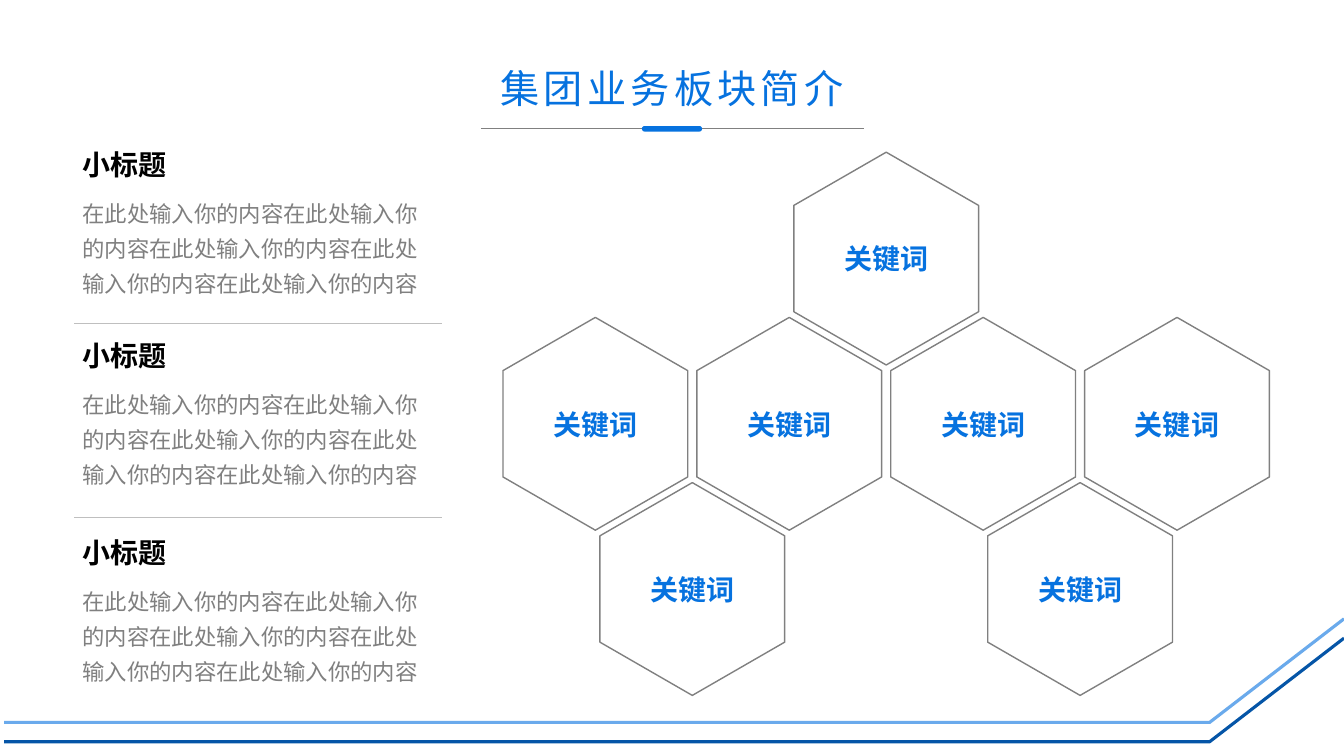
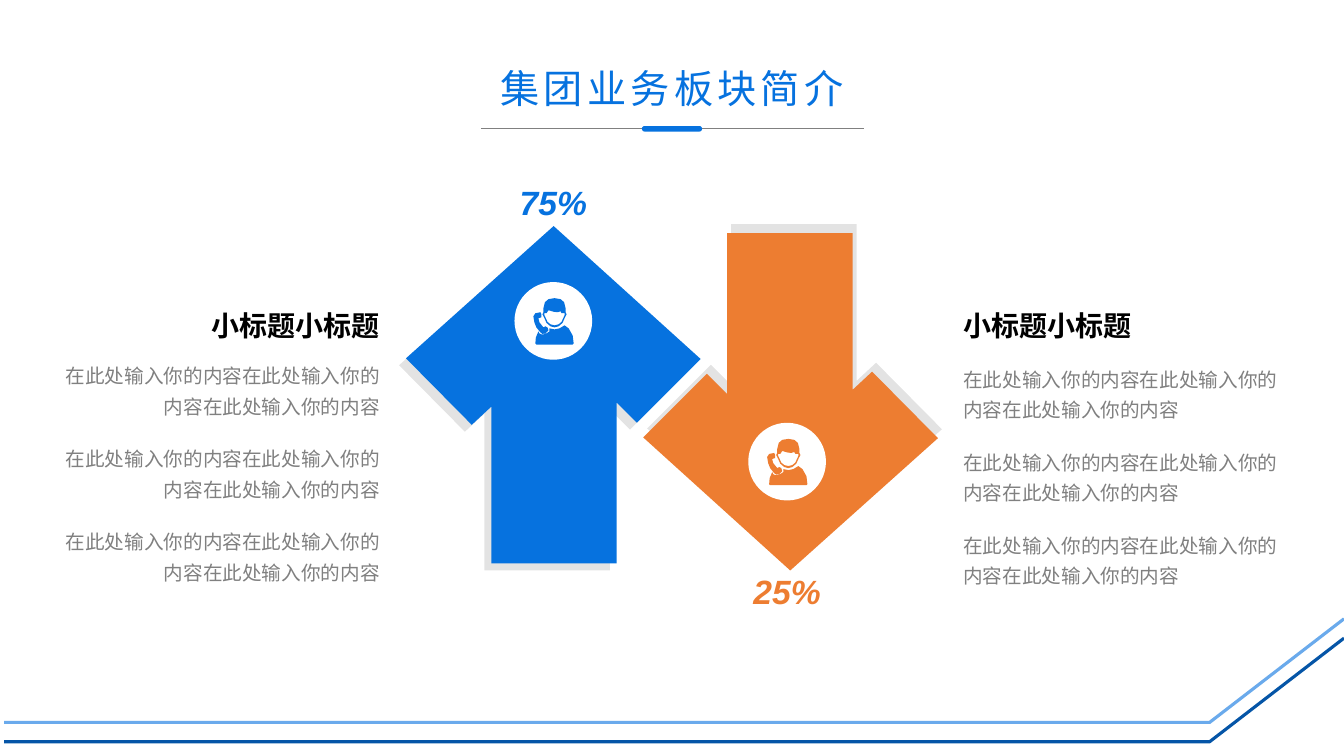
"""Build two slides that introduce the business areas of a group."""
from lxml import etree
from pptx import Presentation
from pptx.dml.color import RGBColor
from pptx.enum.shapes import MSO_CONNECTOR, MSO_SHAPE
from pptx.enum.text import MSO_ANCHOR, PP_ALIGN
from pptx.oxml.ns import qn
from pptx.util import Pt

BLUE = RGBColor(0x06, 0x72, 0xDF)
NAVY = RGBColor(0x05, 0x55, 0xA7)
SKY = RGBColor(0x6A, 0xAA, 0xEC)
ORANGE = RGBColor(0xED, 0x7D, 0x31)
GRAY = RGBColor(0x80, 0x80, 0x80)
PALE = RGBColor(0xBF, 0xBF, 0xBF)
BLACK = RGBColor(0, 0, 0)
WHITE = RGBColor(0xFF, 0xFF, 0xFF)

LINE = MSO_CONNECTOR.STRAIGHT
HEX = MSO_SHAPE.HEXAGON
OVAL = MSO_SHAPE.OVAL
ROUND = MSO_SHAPE.ROUNDED_RECTANGLE
LEFT, MID, RIGHT = PP_ALIGN.LEFT, PP_ALIGN.CENTER, PP_ALIGN.RIGHT
TOP, CENTER, BOTTOM = MSO_ANCHOR.TOP, MSO_ANCHOR.MIDDLE, MSO_ANCHOR.BOTTOM

SANS, LATIN = "Noto Sans CJK JP", "Arial"
TITLE = "集团业务板块简介"
HEAD = "小标题"
KEY = "关键词"
BODY = "在此处输入你的内容"

ARROW_W, ARROW_H = 210.5, 241
ARROW = [(105.5, 0), (210.5, 95), (165, 140.5), (150.5, 126), (150.5, 241),
         (61, 241), (61, 129), (47, 142), (0, 94.5)]

HAIR = [(10, 18), (11, 20), (13, 24.5), (17, 28), (21, 29), (25, 28),
        (29, 24.5), (31, 20), (32, 18), (33, 16), (32, 14), (32, 10),
        (30.5, 4), (27, 1), (21, 0), (15, 1), (11.5, 4), (10, 10),
        (10, 14), (9, 16)]
FACE = [(31, 17), (30, 19), (28, 23.5), (25, 26), (21, 27), (17, 26),
        (14, 23.5), (12, 19), (11, 17), (11, 15), (13, 15), (15, 12),
        (20, 13.5), (24, 14), (27, 13), (28, 15), (31, 15)]
TORSO = [(40, 45), (39, 46), (3, 46), (2, 45), (2.5, 39), (5, 33), (6, 35),
         (8, 36), (10, 36), (13, 35), (16, 33), (16, 30), (21, 31),
         (26, 30), (31, 27), (35, 30), (39, 37)]
PHONE = [(7, 34), (3, 29), (1, 24), (0, 18), (2, 15), (7, 14), (8, 16),
         (8, 19), (5, 20), (6, 24), (10, 29), (12, 28), (14, 29), (15, 32),
         (12, 35), (9, 35.5)]


def style(frame, size, color, name=SANS, bold=False, align=LEFT, space=None):
    """Format the single paragraph of a text frame."""
    para = frame.paragraphs[0]
    para.alignment = align
    if space:
        para.line_spacing = space
    run = para.runs[0]
    font = run.font
    font.size, font.bold, font.name = Pt(size), bold, name
    font.color.rgb = color
    east = etree.SubElement(font._element, qn("a:ea"))
    east.set("typeface", SANS)
    return run


def write(slide, box, text, size, color, anchor=TOP, **look):
    """Add a wrapping text box and return its run."""
    frame = slide.shapes.add_textbox(*map(Pt, box)).text_frame
    frame.word_wrap = True
    frame.vertical_anchor = anchor
    frame.text = text
    return style(frame, size, color, **look)


def rule(slide, left, right, top, color, width):
    """Draw a level line."""
    line = slide.shapes.add_connector(LINE, Pt(left), Pt(top), Pt(right), Pt(top))
    line.line.color.rgb = color
    line.line.width = Pt(width)
    etree.SubElement(line._element.spPr, qn("a:effectLst"))


def shape(slide, kind, box, fill):
    """Add a flat preset shape with no outline."""
    item = slide.shapes.add_shape(kind, *map(Pt, box))
    item.shadow.inherit = False
    item.fill.solid()
    item.fill.fore_color.rgb = fill
    item.line.fill.background()
    return item


def trace(slide, loops, left, top, unit=1, closed=True):
    """Draw loops of points from a corner as one freeform."""
    sets = [[(Pt(left + x * unit), Pt(top + y * unit)) for x, y in loop]
            for loop in loops]
    pen = slide.shapes.build_freeform(*sets[0][0], scale=1.0)
    for num, spots in enumerate(sets):
        if num:
            pen.move_to(*spots[0])
        pen.add_line_segments(spots[1:], close=closed)
    item = pen.convert_to_shape()
    item.shadow.inherit = False
    return item


def solid(item, color):
    """Fill a freeform and drop its outline."""
    item.fill.solid()
    item.fill.fore_color.rgb = color
    item.line.fill.background()


def frame_page(deck):
    """Add a blank slide with the bands, title and title rule."""
    slide = deck.slides.add_slide(deck.slide_layouts[6])
    for top, color in ((455.8, NAVY), (442, SKY)):
        points = [(0, 74), (861, 74), (957, 0)]
        band = trace(slide, [points], 3, top, closed=False)
        band.fill.background()
        band.line.color.rgb = color
        band.line.width = Pt(2.25)
    rule(slide, 343.5, 617, 92, GRAY, 0.5)
    shape(slide, ROUND, (458.5, 90, 43, 4), BLUE).adjustments[0] = 0.5
    run = write(slide, (258.5, 42.5, 443, 44.5), TITLE, 28, BLUE, CENTER,
                align=MID, space=0.9)
    run.font._element.set("spc", "300")
    return slide


def topic(slide, left, top):
    """Place a heading over its body text."""
    write(slide, (left, top, 173, 31.5), HEAD, 20, BLACK, name=LATIN, bold=True)
    write(slide, (left, top + 32, 263.5, 93), BODY * 5, 16, GRAY, space=1.3)


def comb(slide, left, top):
    """Place the honeycomb of keywords in half-column steps."""
    wide, high = 152, 132
    for col, row in enumerate((1, 2, 1, 0, 1, 2, 1)):
        box = (left + col * 69.25, top + row * 118, wide, high)
        cell = shape(slide, HEX, box, WHITE)
        cell.adjustments[0] = 0.288
        cell.rotation = 90
        cell.line.color.rgb = GRAY
        cell.line.width = Pt(1)
        frame = cell.text_frame
        frame.margin_left = frame.margin_right = 0
        frame.vertical_anchor = CENTER
        frame.text = KEY
        style(frame, 20, BLUE, bold=True, align=MID)
        frame._txBody.bodyPr.set("vert", "vert270")


def shade(item, dist, angle):
    """Give a shape a faint hard shadow."""
    effects = item._element.spPr.find(qn("a:effectLst"))
    outer = etree.SubElement(effects, qn("a:outerShdw"), blurRad="0",
                             dist=str(Pt(dist)), dir=str(angle * 60000),
                             algn="ctr", rotWithShape="0")
    black = etree.SubElement(outer, qn("a:srgbClr"), val="000000")
    etree.SubElement(black, qn("a:alpha"), val="11000")


def badge(slide, left, top, color):
    """Place a caller icon on a white disc."""
    shape(slide, OVAL, (left, top, 55.5, 55.5), WHITE)
    icon = trace(slide, [HAIR, FACE, TORSO, PHONE], left + 13.5, top + 11.5, 0.72)
    solid(icon, color)


def arrow(slide, left, top, color, down, angle):
    """Place a block arrow, turned half around if it points down."""
    points = ARROW
    if down:
        points = [(ARROW_W - x, ARROW_H - y) for x, y in ARROW]
    item = trace(slide, [points], left, top)
    solid(item, color)
    shade(item, 7, angle)


def share(slide, left, top, text, color):
    """Place a percentage label."""
    run = write(slide, (left, top, 119.5, 39.5), text, 24, color, BOTTOM,
                name=LATIN, bold=True, align=MID)
    run.font.italic = True


def column(slide, left, top, first, align):
    """Place a heading and three notes within a side column."""
    wide = 240
    write(slide, (left, top, wide, 38), HEAD * 2, 20, BLACK, CENTER,
          name=LATIN, bold=True, align=align)
    for row in range(3):
        box = (left, top + first + row * 59.25, wide, 60.5)
        write(slide, box, BODY * 3, 14, GRAY, align=align, space=1.3)


def comb_page(deck):
    """Build the slide with topics and a honeycomb."""
    slide = frame_page(deck)
    comb(slide, 349.25, 118.75)
    for top in (231, 369.5):
        rule(slide, 53, 315.5, top, PALE, 0.25)
    for top in (102, 238, 379):
        topic(slide, 52, top)


def arrow_page(deck):
    """Build the slide with two opposed arrows."""
    slide = frame_page(deck)
    arrow(slide, 290, 161.5, BLUE, False, 135)
    arrow(slide, 459.5, 166.5, ORANGE, True, 294)
    badge(slide, 367.5, 201.5, BLUE)
    badge(slide, 534.5, 302, ORANGE)
    share(slide, 335.5, 122.5, "75%", BLUE)
    share(slide, 502.5, 400.5, "25%", ORANGE)
    column(slide, 38.5, 213, 38.5, RIGHT)
    column(slide, 681, 213, 41, LEFT)


def main():
    """Build and save the deck."""
    deck = Presentation()
    deck.slide_width, deck.slide_height = Pt(960), Pt(540)
    comb_page(deck)
    arrow_page(deck)
    deck.save("out.pptx")


if __name__ == "__main__":
    main()
